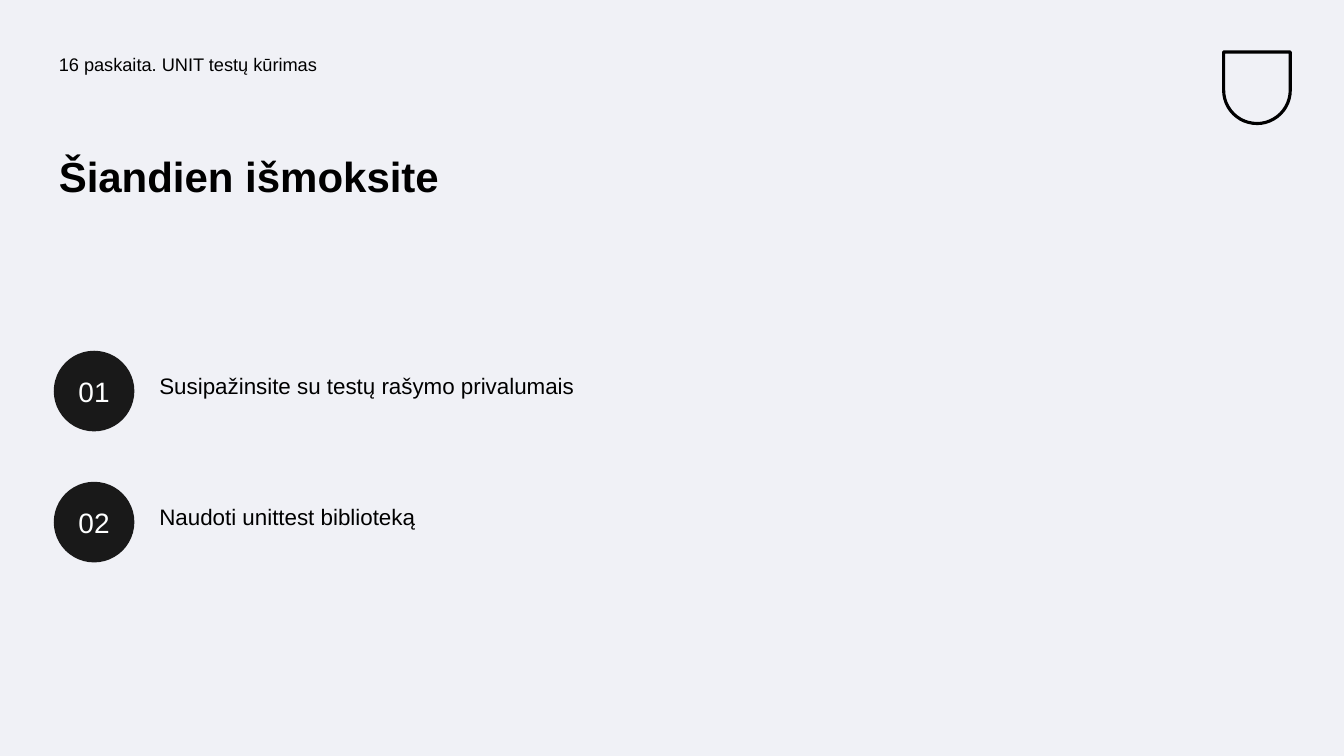
import pptx
import pptx.util
import pptx.oxml.ns
import lxml.etree
from pptx.dml.color import RGBColor
from pptx.enum.shapes import MSO_SHAPE
from pptx.enum.text import MSO_ANCHOR, MSO_AUTO_SIZE, PP_ALIGN

WIDTH, HEIGHT = 13.33, 7.5
COL, ROW = WIDTH / 25, HEIGHT / 15
FONT = "Arial"
PAPER = RGBColor(0xF0, 0xF1, 0xF6)
BLACK = RGBColor(0x00, 0x00, 0x00)
DARK = RGBColor(0x19, 0x19, 0x19)
WHITE = RGBColor(0xFE, 0xFF, 0xFF)

GOALS = ["Susipažinsite su testų rašymo privalumais",
         "Naudoti unittest biblioteką"]
STEP = 2.6  # rows from one goal to the next


def grid(col, row, cols, rows):
    """Turn columns and rows into left, top, width and height."""
    return [pptx.util.Inches(n) for n in
            (col * COL, row * ROW, cols * COL, rows * ROW)]


def write(shape, text, size, color=BLACK, bold=False, align=PP_ALIGN.LEFT,
          anchor=MSO_ANCHOR.TOP, line=0.9, before=0):
    frame = shape.text_frame
    frame.text = text
    frame.word_wrap = True
    frame.auto_size = MSO_AUTO_SIZE.NONE
    frame.vertical_anchor = anchor
    frame.margin_left = frame.margin_right = pptx.util.Inches(0.05)
    frame.margin_top = frame.margin_bottom = pptx.util.Inches(0.05)
    para = frame.paragraphs[0]
    para.alignment = align
    para.line_spacing = line
    para.space_before = pptx.util.Pt(before)
    font = para.runs[0].font
    font.name, font.size, font.bold = FONT, pptx.util.Pt(size), bold
    font.color.rgb = color


def fill(holder, box, text, **form):
    """Move a placeholder, write in it and drop its bullet."""
    holder.left, holder.top, holder.width, holder.height = box
    write(holder, text, **form)
    props = holder.text_frame.paragraphs[0]._p.get_or_add_pPr()
    props.set("marL", "0")
    props.set("indent", "0")
    lxml.etree.SubElement(props, pptx.oxml.ns.qn("a:buNone"))


def badge(slide, row, text):
    disc = slide.shapes.add_shape(MSO_SHAPE.OVAL, *grid(1, row, 1.5, 1.6))
    disc.shadow.inherit = False
    disc.fill.solid()
    disc.fill.fore_color.rgb = DARK
    disc.line.fill.background()
    write(disc, text, size=20, color=WHITE, align=PP_ALIGN.CENTER,
          anchor=MSO_ANCHOR.MIDDLE, line=1)


def shield(slide):
    crest = slide.shapes.add_shape(MSO_SHAPE.ROUND_2_SAME_RECTANGLE,
                                   *grid(22.76, 1.03, 1.24, 1.42))
    crest.rotation = 180
    crest.adjustments[0] = 0.5
    crest.shadow.inherit = False
    crest.fill.background()
    crest.line.color.rgb = BLACK
    crest.line.width = pptx.util.Pt(2.25)


def main():
    deck = pptx.Presentation()
    deck.slide_width = pptx.util.Inches(WIDTH)
    deck.slide_height = pptx.util.Inches(HEIGHT)
    slide = deck.slides.add_slide(deck.slide_layouts.get_by_name("Comparison"))
    slide.background.fill.solid()
    slide.background.fill.fore_color.rgb = PAPER
    title, head, first, spare, second = list(slide.placeholders)[:5]
    for holder in list(slide.placeholders)[5:] + [spare]:
        holder.element.getparent().remove(holder.element)

    # Heading and emblem
    shield(slide)
    fill(head, grid(1, 1, 11.52, 0.98), "16 paskaita. UNIT testų kūrimas",
         size=13, before=10)
    fill(title, grid(1, 3, 10.56, 2.98), "Šiandien išmoksite",
         size=30, bold=True)

    # Numbered goals
    for i, (holder, goal) in enumerate(zip((first, second), GOALS)):
        row = 6.96 + i * STEP
        badge(slide, row, f"{i + 1:02}")
        fill(holder, grid(2.87, row + 0.39, 8.68, 1), goal,
             size=16, before=10)

    deck.save("out.pptx")


if __name__ == "__main__":
    main()
